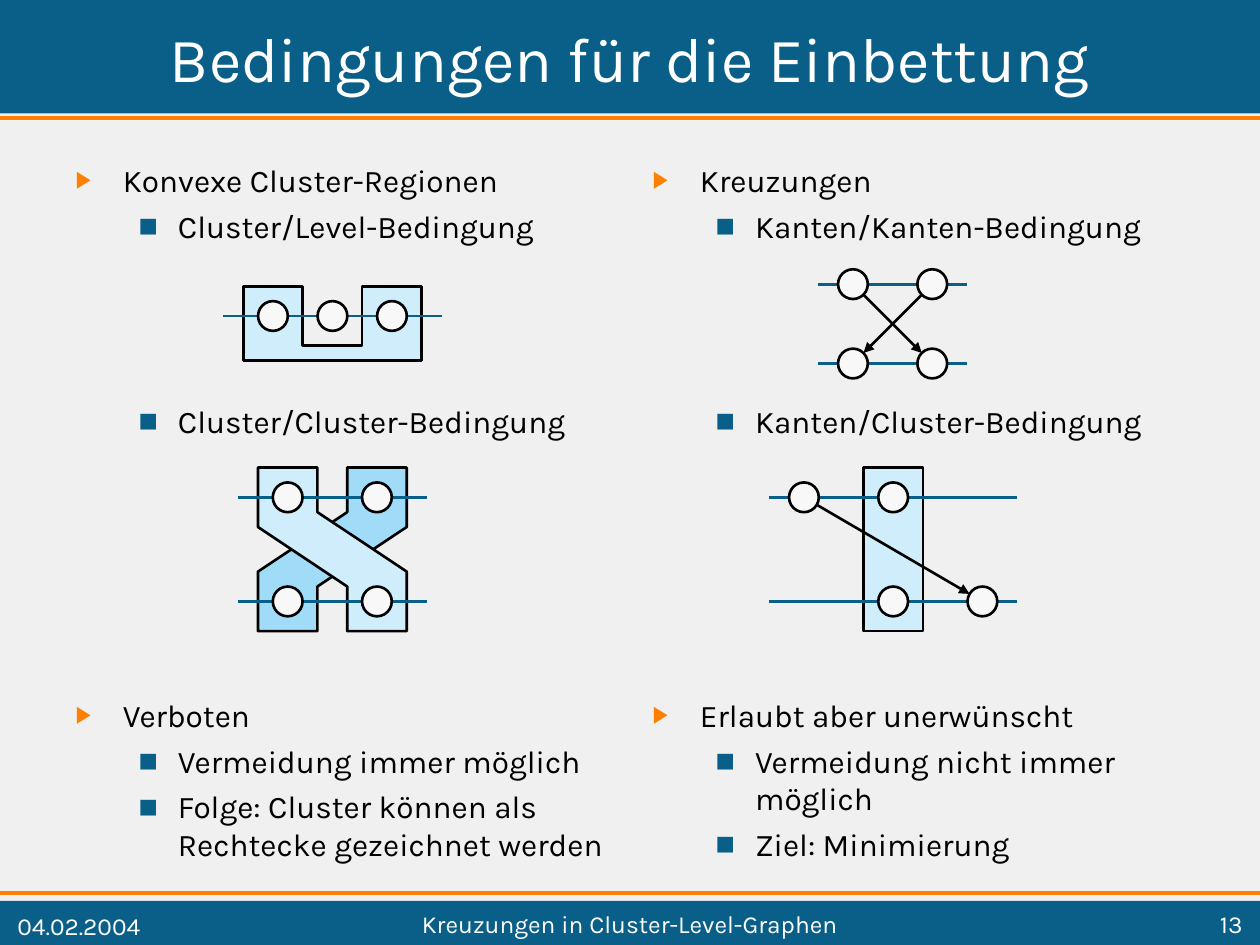
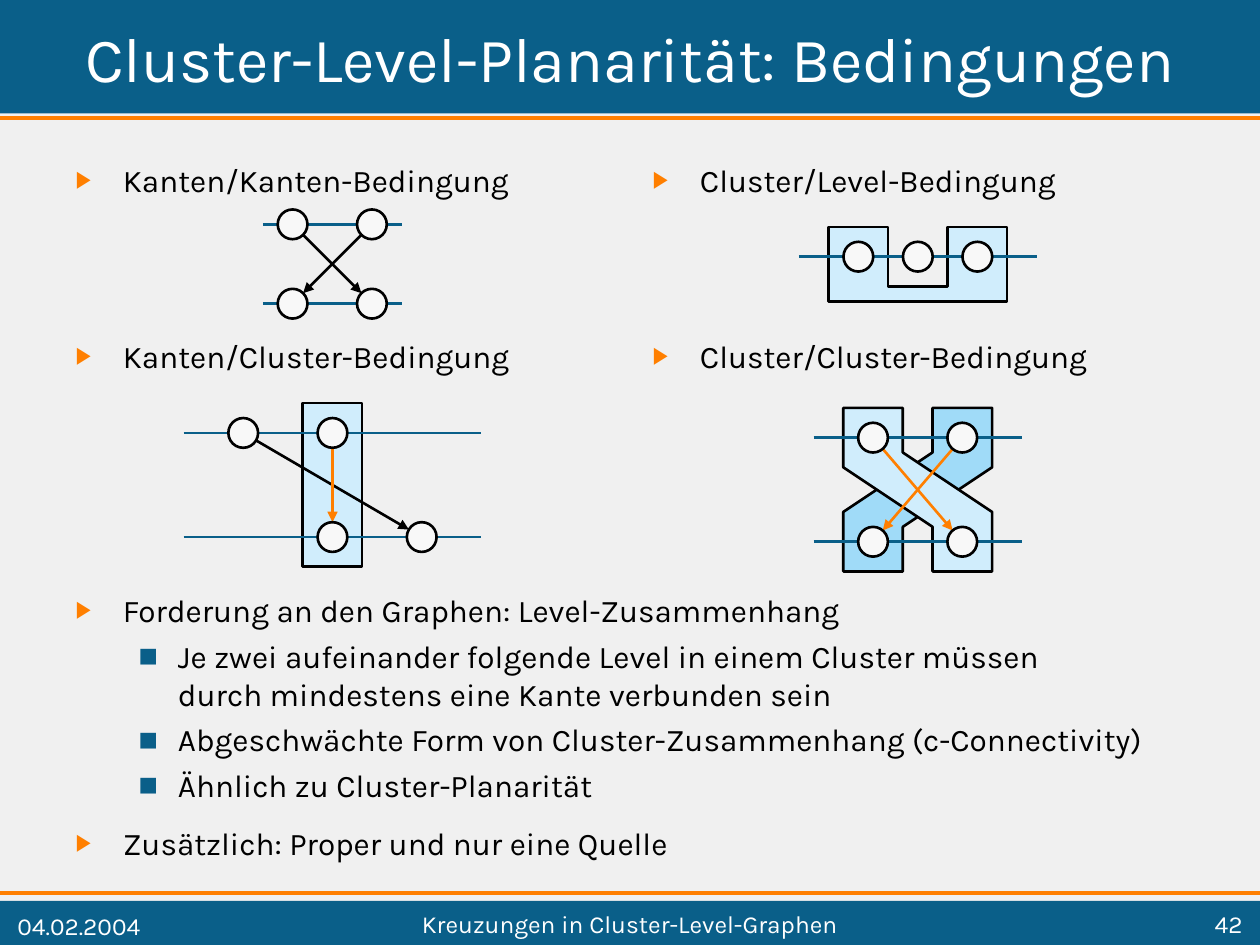
from dataclasses import dataclass
from math import hypot

from lxml import etree
from pptx import Presentation
from pptx.dml.color import RGBColor
from pptx.enum.shapes import MSO_CONNECTOR, MSO_SHAPE
from pptx.enum.text import MSO_ANCHOR, MSO_AUTO_SIZE, PP_ALIGN
from pptx.oxml.ns import qn
from pptx.util import Pt

RECT, OVAL = MSO_SHAPE.RECTANGLE, MSO_SHAPE.OVAL
STRAIGHT = MSO_CONNECTOR.STRAIGHT
LEFT, CENTER, RIGHT = PP_ALIGN.LEFT, PP_ALIGN.CENTER, PP_ALIGN.RIGHT
MIDDLE, TOP = MSO_ANCHOR.MIDDLE, MSO_ANCHOR.TOP
FIXED = MSO_AUTO_SIZE.NONE

COLORS = {
    "back": "F0F0F0", "blue": "0A5F89", "orange": "FF7F00", "white": "FFFFFF",
    "black": "000000", "pale": "D0EDFC", "sky": "A0DBF8", "node": "F8F8F8",
}
FONT = "Karla"
WIDTH, HEIGHT = 720, 540
UNIT = 17
STROKE = 1.5


@dataclass(frozen=True)
class Bullet:
    sign: str
    color: str
    scale: int
    margin: float
    hang: float


@dataclass(frozen=True)
class Item:
    text: str
    level: int = 0
    gap: float = 11.25


@dataclass(frozen=True)
class Box:
    x: float
    y: float
    w: float
    h: float


@dataclass(frozen=True)
class Label:
    box: Box
    text: str
    align: int


@dataclass(frozen=True)
class Hull:
    points: tuple
    fill: str


@dataclass(frozen=True)
class Kind:
    step: float
    drop: float
    cols: int
    rows: int
    dots: tuple
    edges: tuple = ()
    hulls: tuple = ()
    box: Box | None = None


@dataclass(frozen=True)
class Figure:
    kind: Kind
    x: float
    y: float
    reach: float
    links: tuple = ()


@dataclass(frozen=True)
class Page:
    title: str
    number: int
    lists: tuple
    figures: tuple


BULLETS = (
    Bullet("▶", "orange", 75, 27, 27),
    Bullet("■", "blue", 65, 58.5, 22.5),
)

SQUARE = ((0, 0), (1, 0), (0, 1), (1, 1))
CROSS = (((0, 0), (1, 1)), ((1, 0), (0, 1)))
BAND = ((-1, -1), (1, -1), (1, 0.5), (4, 2.5), (4, 4.5), (2, 4.5), (2, 3), (-1, 1))
MIRROR = tuple((3 - x, y) for x, y in BAND)
TROUGH = ((-1, -1), (1, -1), (1, 1), (3, 1), (3, -1), (5, -1), (5, 1.5), (-1, 1.5))

EDGES = Kind(45.35, 45.35, 2, 2, SQUARE, CROSS)
LEVEL = Kind(2 * UNIT, 0, 3, 1, ((0, 0), (1, 0), (2, 0)), hulls=(Hull(TROUGH, "pale"),))
PAIR = Kind(3 * UNIT, 3.5 * UNIT, 2, 2, SQUARE,
            hulls=(Hull(MIRROR, "sky"), Hull(BAND, "pale")))
COLUMN = Kind(3 * UNIT, 3.5 * UNIT, 3, 2, ((0, 0), (1, 0), (1, 1), (2, 1)),
              (((0, 0), (2, 1)),), box=Box(2, -1, 2, 5.5))

BODY = Box(36, 88.5, 318.25, 408.25)
WIDE = Box(36, 88.5, 650.25, 408.25)
SIDE = Box(365.75, 88.5, 318.25, 408.25)
HEAD = Box(2.88, 2.88, 714.24, 59.76)
DATE = Label(Box(2.88, 517.68, 113.76, 22.32), "04.02.2004", LEFT)
TOPIC = Label(Box(93.6, 517.68, 532.8, 20.16), "Kreuzungen in Cluster-Level-Graphen", CENTER)
COUNT = Box(632.16, 517.68, 84.96, 20.16)

PAGES = (
    Page("Bedingungen für die Einbettung", 13, (
        (BODY, (
            Item("Konvexe Cluster-Regionen"),
            Item("Cluster/Level-Bedingung", 1, 4.5),
            Item("Cluster/Cluster-Bedingung", 1, 90),
            Item("Verboten", 0, 146.25),
            Item("Vermeidung immer möglich", 1, 4.5),
            Item("Folge: Cluster können als Rechtecke gezeichnet werden", 1, 4.5),
        )),
        (SIDE, (
            Item("Kreuzungen"),
            Item("Kanten/Kanten-Bedingung", 1, 4.5),
            Item("Kanten/Cluster-Bedingung", 1, 90),
            Item("Erlaubt aber unerwünscht", 0, 146.25),
            Item("Vermeidung nicht immer möglich", 1, 4.5),
            Item("Ziel: Minimierung", 1, 4.5),
        )),
    ), (
        Figure(LEVEL, 156, 180.6, 28.5),
        Figure(EDGES, 487.4, 162.4, 20),
        Figure(PAIR, 164.4, 284.2, 28.5),
        Figure(COLUMN, 459.4, 284.2, 20),
    )),
    Page("Cluster-Level-Planarität: Bedingungen", 42, (
        (WIDE, (
            Item("Kanten/Kanten-Bedingung"),
            Item("Kanten/Cluster-Bedingung", 0, 78.75),
            Item("Forderung an den Graphen: Level-Zusammenhang", 0, 123.75),
            Item("Je zwei aufeinander folgende Level in einem Cluster müssen\v"
                 "durch mindestens eine Kante verbunden sein", 1, 4.5),
            Item("Abgeschwächte Form von Cluster-Zusammenhang (c-Connectivity)", 1, 4.5),
            Item("Ähnlich zu Cluster-Planarität", 1, 4.5),
            Item("Zusätzlich: Proper und nur eine Quelle"),
        )),
        (SIDE, (
            Item("Cluster/Level-Bedingung"),
            Item("Cluster/Cluster-Bedingung", 0, 78.75),
        )),
    ), (
        Figure(LEVEL, 490.5, 146.7, 2 * UNIT),
        Figure(PAIR, 498.9, 250.1, 2 * UNIT, CROSS),
        Figure(EDGES, 167.2, 128.2, UNIT),
        Figure(COLUMN, 139, 247.4, 2 * UNIT, (((1, 0), (1, 1)),)),
    )),
)


def tint(name: str) -> RGBColor:
    return RGBColor.from_string(COLORS[name])


def place(shape, box: Box) -> None:
    shape.left, shape.top = Pt(box.x), Pt(box.y)
    shape.width, shape.height = Pt(box.w), Pt(box.h)


def style(para, size: float, color: str) -> None:
    for run in para.runs:
        run.font.name, run.font.size = FONT, Pt(size)
        run.font.color.rgb = tint(color)


def paint(shape, fill: str, line: str | None = "black"):
    shape.shadow.inherit = False
    shape.fill.solid()
    shape.fill.fore_color.rgb = tint(fill)
    if line:
        shape.line.color.rgb = tint(line)
        shape.line.width = Pt(STROKE)
    else:
        shape.line.fill.background()
    return shape


def draw_shape(slide, form, box: Box, fill: str, line: str | None = "black"):
    return paint(slide.shapes.add_shape(form, Pt(box.x), Pt(box.y), Pt(box.w), Pt(box.h)),
                 fill, line)


def draw_line(slide, start: tuple, end: tuple, color: str,
              width: float = STROKE, arrow: bool = False):
    line = slide.shapes.add_connector(STRAIGHT, *map(Pt, start + end))
    line.line.color.rgb = tint(color)
    line.line.width = Pt(width)
    props = line.element.find(qn("p:spPr"))
    if arrow:
        etree.SubElement(props.find(qn("a:ln")), qn("a:tailEnd"), type="triangle")
    etree.SubElement(props, qn("a:effectLst"))
    return line


def draw_edge(slide, start: tuple, end: tuple, color: str) -> None:
    dx, dy = end[0] - start[0], end[1] - start[1]
    part = 1 - UNIT / 2 / hypot(dx, dy)
    tip = (start[0] + dx * part, start[1] + dy * part)
    draw_line(slide, start, tip, color, arrow=True)


def draw_figure(slide, fig: Figure) -> None:
    kind = fig.kind

    def spot(cell: tuple) -> tuple:
        return fig.x + cell[0] * kind.step, fig.y + cell[1] * kind.drop

    for hull in kind.hulls:
        points = [(Pt(fig.x + x * UNIT), Pt(fig.y + y * UNIT)) for x, y in hull.points]
        pen = slide.shapes.build_freeform(*points[0])
        pen.add_line_segments(points[1:], close=True)
        paint(pen.convert_to_shape(), hull.fill)
    if kind.box:
        box = kind.box
        draw_shape(slide, RECT, Box(fig.x + box.x * UNIT, fig.y + box.y * UNIT,
                                    box.w * UNIT, box.h * UNIT), "pale")
    for row in range(kind.rows):
        left, y = spot((0, row))
        right, _ = spot((kind.cols - 1, row))
        draw_line(slide, (left - fig.reach, y), (right + fig.reach, y), "blue")
    for color, edges in (("black", kind.edges), ("orange", fig.links)):
        for start, end in edges:
            draw_edge(slide, spot(start), spot(end), color)
    for dot in kind.dots:
        x, y = spot(dot)
        draw_shape(slide, OVAL, Box(x - UNIT / 2, y - UNIT / 2, UNIT, UNIT), "node")


def add_bullet(para, mark: Bullet) -> None:
    props = para._p.get_or_add_pPr()
    props.set("marL", str(Pt(mark.margin)))
    props.set("indent", str(Pt(-mark.hang)))
    color = etree.SubElement(props, qn("a:buClr"))
    etree.SubElement(color, qn("a:srgbClr"), val=COLORS[mark.color])
    etree.SubElement(props, qn("a:buSzPct"), val=str(mark.scale * 1000))
    etree.SubElement(props, qn("a:buFont"), typeface=FONT)
    etree.SubElement(props, qn("a:buChar"), char=mark.sign)


def fill_list(shape, box: Box, items: tuple) -> None:
    place(shape, box)
    frame = shape.text_frame
    frame.auto_size, frame.vertical_anchor = FIXED, TOP
    frame.text = "\n".join(item.text for item in items)
    for index, (para, item) in enumerate(zip(frame.paragraphs, items)):
        para.level = item.level
        add_bullet(para, BULLETS[item.level])
        para.space_before = Pt(item.gap if index else 0)
        style(para, 18, "black")
        for stop in para._p.findall(qn("a:br")):
            etree.SubElement(stop, qn("a:rPr"), sz="1800")


def fill_title(shape, text: str) -> None:
    place(shape, HEAD)
    frame = shape.text_frame
    frame.auto_size, frame.vertical_anchor = FIXED, MIDDLE
    frame.text = text
    frame.paragraphs[0].alignment = CENTER
    style(frame.paragraphs[0], 36, "white")


def add_label(slide, label: Label) -> None:
    box = label.box
    frame = slide.shapes.add_textbox(Pt(box.x), Pt(box.y), Pt(box.w), Pt(box.h)).text_frame
    frame.word_wrap, frame.vertical_anchor = True, MIDDLE
    frame.text = label.text
    frame.paragraphs[0].alignment = label.align
    style(frame.paragraphs[0], 14, "white")


def dress_layout(layout, slide) -> None:
    layout.background.fill.solid()
    layout.background.fill.fore_color.rgb = tint("back")
    bands = (Box(0, 0, WIDTH, 64.8), Box(0, 514.8, WIDTH, 25.2))
    parts = [draw_shape(slide, RECT, band, "blue", None) for band in bands]
    parts += [draw_line(slide, (0, y), (WIDTH, y), "orange", 2.25) for y in (67.7, 510.5)]
    for index, part in enumerate(parts):
        layout.shapes.element.insert(2 + index, part.element)


def main() -> None:
    deck = Presentation()
    deck.slide_width, deck.slide_height = Pt(WIDTH), Pt(HEIGHT)
    layout = deck.slide_layouts[3]
    for index, page in enumerate(PAGES):
        slide = deck.slides.add_slide(layout)
        if index == 0:
            dress_layout(layout, slide)
        fill_title(slide.shapes.title, page.title)
        for slot, (box, items) in enumerate(page.lists, 1):
            fill_list(slide.placeholders[slot], box, items)
        for fig in page.figures:
            draw_figure(slide, fig)
        for label in (TOPIC, Label(COUNT, str(page.number), RIGHT), DATE):
            add_label(slide, label)
    deck.save("out.pptx")


if __name__ == "__main__":
    main()
